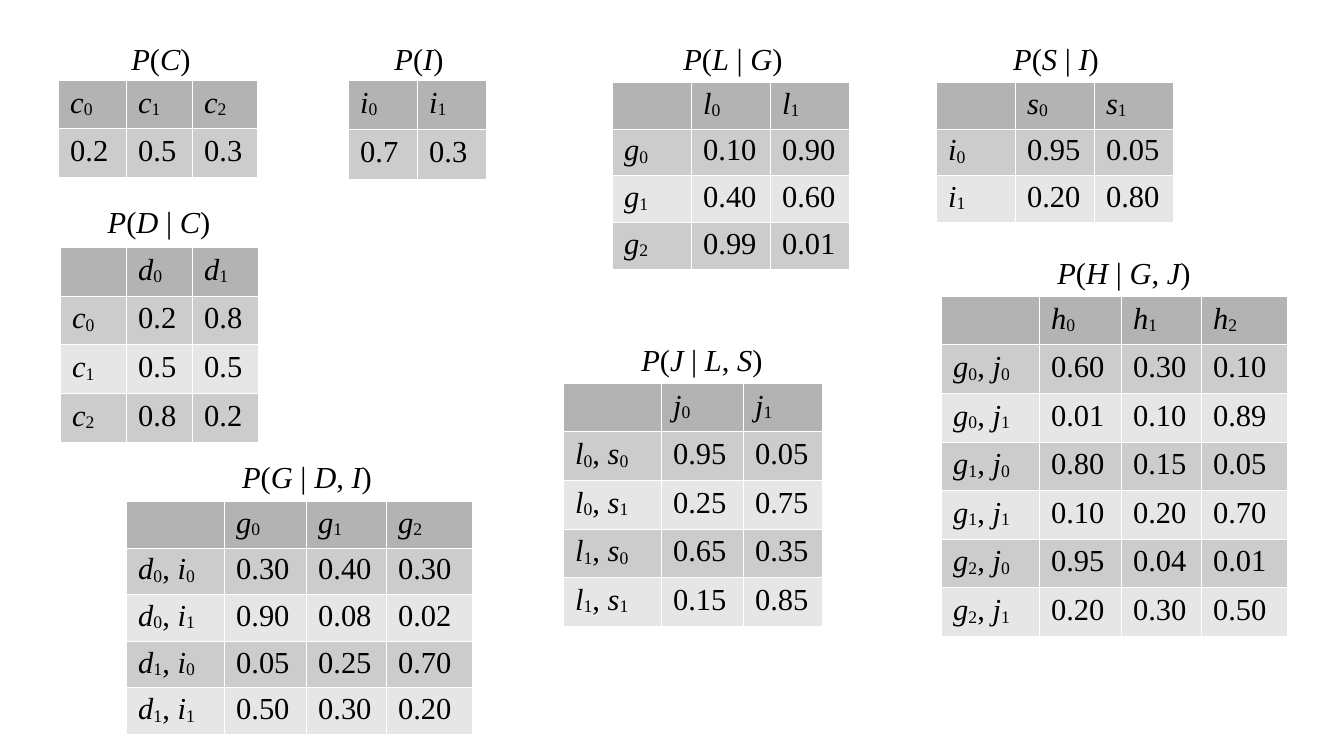
"""Build a slide of conditional probability tables."""
from dataclasses import dataclass
from itertools import groupby

from lxml import etree
from pptx import Presentation
from pptx.dml.color import RGBColor
from pptx.enum.text import PP_ALIGN
from pptx.oxml.ns import qn
from pptx.util import Pt

CENTER = PP_ALIGN.CENTER
PX = 914400 / 122
FONT = "Times New Roman"
BLACK, WHITE = "000000", "FFFFFF"
HEADER, ODD, EVEN = "B3B3B3", "CCCCCC", "E6E6E6"
TITLE_HEIGHT = 47
TIGHT_MARGIN = 5


@dataclass(frozen=True)
class Distribution:
    """A titled probability table, measured in px."""
    title: str
    title_center: int
    title_top: int
    title_width: int
    left: int
    top: int
    height: int
    widths: tuple[int, ...]
    rows: tuple[str, ...]
    margin: int = 6


DISTRIBUTIONS = (
    Distribution("P(C)", 161, 34, 100, 58, 80, 97, (68, 66, 65),
                 ("c0 | c1 | c2", "0.2 | 0.5 | 0.3")),
    Distribution("P(I)", 419, 34, 100, 348, 80, 99, (69, 69),
                 ("i0 | i1", "0.7 | 0.3")),
    Distribution("P(L | G)", 733, 34, 150, 612, 82, 187, (79, 79, 79),
                 ("| l0 | l1", "g0 | 0.10 | 0.90", "g1 | 0.40 | 0.60",
                  "g2 | 0.99 | 0.01"), TIGHT_MARGIN),
    Distribution("P(S | I)", 1056, 34, 150, 936, 82, 140, (79, 79, 79),
                 ("| s0 | s1", "i0 | 0.95 | 0.05", "i1 | 0.20 | 0.80"),
                 TIGHT_MARGIN),
    Distribution("P(D | C)", 159, 197, 150, 60, 247, 195, (66, 66, 66),
                 ("| d0 | d1", "c0 | 0.2 | 0.8", "c1 | 0.5 | 0.5",
                  "c2 | 0.8 | 0.2")),
    Distribution("P(G | D, I)", 307, 452, 190, 126, 501, 233, (98, 82, 80, 86),
                 ("| g0 | g1 | g2", "d0, i0 | 0.30 | 0.40 | 0.30",
                  "d0, i1 | 0.90 | 0.08 | 0.02",
                  "d1, i0 | 0.05 | 0.25 | 0.70",
                  "d1, i1 | 0.50 | 0.30 | 0.20"), TIGHT_MARGIN),
    Distribution("P(J | L, S)", 702, 335, 190, 563, 383, 243, (98, 82, 79),
                 ("| j0 | j1", "l0, s0 | 0.95 | 0.05",
                  "l0, s1 | 0.25 | 0.75", "l1, s0 | 0.65 | 0.35",
                  "l1, s1 | 0.15 | 0.85")),
    Distribution("P(H | G, J)", 1124, 248, 190, 941, 296, 340, (98, 82, 80, 86),
                 ("| h0 | h1 | h2", "g0, j0 | 0.60 | 0.30 | 0.10",
                  "g0, j1 | 0.01 | 0.10 | 0.89",
                  "g1, j0 | 0.80 | 0.15 | 0.05",
                  "g1, j1 | 0.10 | 0.20 | 0.70",
                  "g2, j0 | 0.95 | 0.04 | 0.01",
                  "g2, j1 | 0.20 | 0.30 | 0.50")),
)


def px(value: float) -> int:
    """Convert px to EMU."""
    return round(value * PX)


def rgb(value: str) -> RGBColor:
    """Convert a hex string to a colour."""
    return RGBColor.from_string(value)


def write_math(p, text: str) -> None:
    """Write text with italic variables and subscript indices."""
    p.font.name, p.font.size = FONT, Pt(18)
    p.font.color.rgb = rgb(BLACK)
    if text[:1].isdigit():
        p.add_run().text = text
        return
    for (is_variable, is_index), chars in groupby(
            text, lambda char: (char.isalpha(), char.isdigit())):
        r = p.add_run()
        r.text = "".join(chars)
        if is_variable:
            r.font.italic = True
        if is_index:
            r.font._element.set("baseline", "-8000")


def style_cell(cell, color: str, margin: int) -> None:
    """Give a cell hairline white borders, a solid fill and margins."""
    properties = cell._tc.get_or_add_tcPr()
    for side in ("a:lnL", "a:lnR", "a:lnT", "a:lnB"):
        line = etree.SubElement(properties, qn(side), w="762")
        fill = etree.SubElement(line, qn("a:solidFill"))
        etree.SubElement(fill, qn("a:srgbClr"), val=WHITE)
    cell.fill.solid()
    cell.fill.fore_color.rgb = rgb(color)
    cell.margin_top = cell.margin_bottom = px(margin)


def draw_title(s, item: Distribution) -> None:
    """Draw the title of a distribution."""
    sp = s.shapes.add_textbox(
        px(item.title_center - item.title_width / 2), px(item.title_top),
        px(item.title_width), px(TITLE_HEIGHT))
    tf = sp.text_frame
    tf.word_wrap = False
    p = tf.paragraphs[0]
    p.alignment = CENTER
    write_math(p, item.title)


def draw_table(s, item: Distribution) -> None:
    """Draw the table of a distribution with equal rows."""
    table = s.shapes.add_table(
        len(item.rows), len(item.widths), px(item.left), px(item.top),
        px(sum(item.widths)), px(item.height)).table
    table.first_row = table.horz_banding = False
    for column, width in zip(table.columns, item.widths):
        column.width = px(width)
    for i, (row, line) in enumerate(zip(table.rows, item.rows)):
        row.height = px(item.height / len(item.rows))
        color = HEADER if i == 0 else ODD if i % 2 else EVEN
        for cell, text in zip(row.cells, line.split("|")):
            style_cell(cell, color, item.margin)
            write_math(cell.text_frame.paragraphs[0], text.strip())


def main() -> None:
    """Build and save the slide."""
    prs = Presentation()
    prs.slide_width, prs.slide_height = px(1344), px(756)
    s = prs.slides.add_slide(prs.slide_layouts[6])
    for item in DISTRIBUTIONS:
        draw_title(s, item)
        draw_table(s, item)
    prs.save("out.pptx")


if __name__ == "__main__":
    main()
